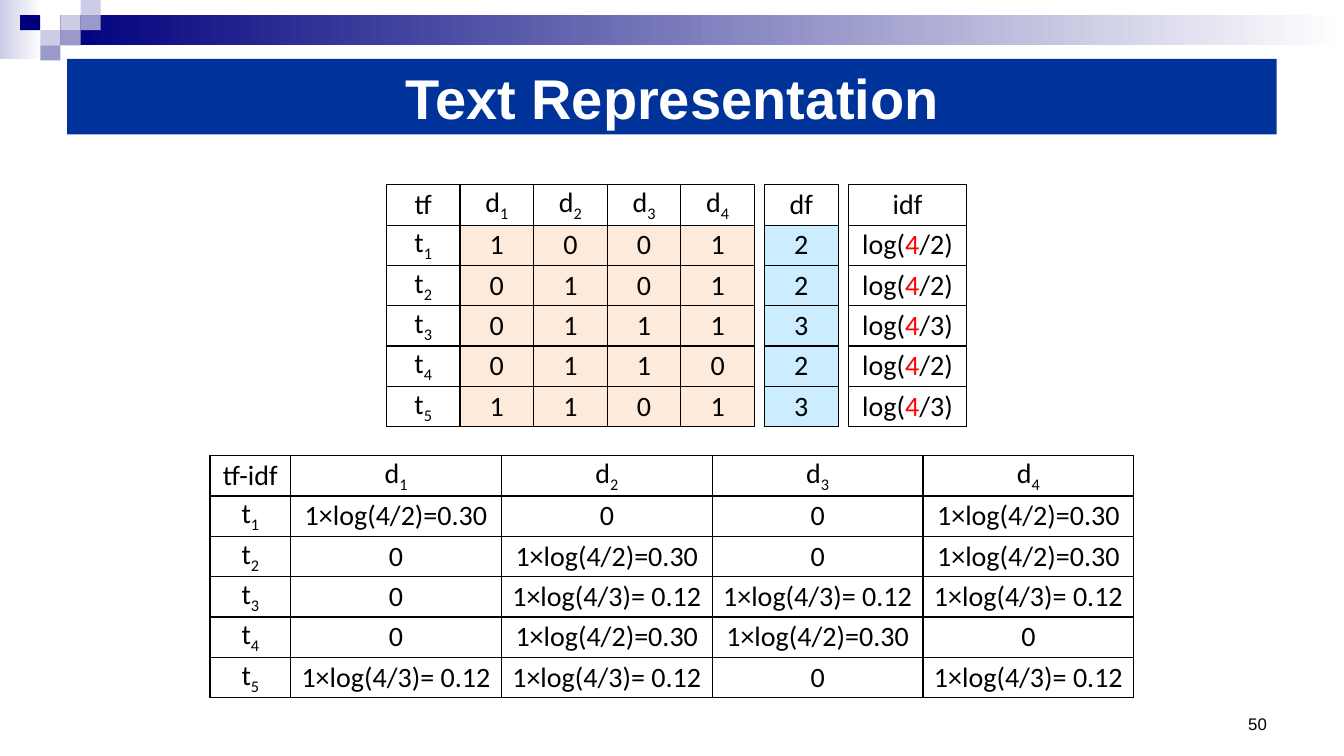
"""Build the text representation slide with its tf, df, idf and tf-idf tables."""
import pptx
import pptx.util
import pptx.dml.color
import pptx.enum.shapes
import pptx.enum.text
import pptx.oxml

Pt = pptx.util.Pt
RGB = pptx.dml.color.RGBColor.from_string
ALIGN = pptx.enum.text.PP_ALIGN
ANCHOR = pptx.enum.text.MSO_ANCHOR
RECT = pptx.enum.shapes.MSO_SHAPE.RECTANGLE
HUES = {
    "white": "FFFFFF", "black": "000000", "red": "FF0000", "title": "003399",
    "navy": "00007D", "mid": "9999CC", "pale": "CCCCE6",
    "peach": "FDEADA", "sky": "CCECFF",
}
ROW = 28.8
NS = "http://schemas.openxmlformats.org/drawingml/2006/main"


def add_block(group, box, *hues):
    """Add a borderless block with one flat hue or a two-hue gradient."""
    block = group.shapes.add_shape(RECT, *map(Pt, box))
    block.shadow.inherit = False
    block.line.fill.background()
    if len(hues) == 1:
        block.fill.solid()
        block.fill.fore_color.rgb = RGB(HUES[hues[0]])
        return
    block.fill.gradient()
    block.fill.gradient_angle = 0
    for stop, hue in zip(block.fill.gradient_stops, hues):
        stop.color.rgb = RGB(HUES[hue])


def add_grid(left, top, widths, rows, hue, first):
    """Add a table; "|" parts runs, "_" lowers a run, "^" reddens it."""
    frame = slide.shapes.add_table(len(rows), len(widths), Pt(left), Pt(top),
                                   Pt(sum(widths)), Pt(ROW * len(rows)))
    grid = frame.table
    for col, width in zip(grid.columns, widths):
        col.width = Pt(width)
    for r, row in enumerate(rows):
        grid.rows[r].height = Pt(ROW)
        for c, text in enumerate(row):
            cell = grid.cell(r, c)
            cell.margin_left = cell.margin_right = 0
            cell.margin_top = cell.margin_bottom = 0
            cell.vertical_anchor = ANCHOR.MIDDLE
            props = cell._tc.get_or_add_tcPr()
            for side in "LRTB":
                props.append(pptx.oxml.parse_xml(
                    f'<a:ln{side} xmlns:a="{NS}" w="12700"><a:solidFill>'
                    f'<a:srgbClr val="{HUES["black"]}"/></a:solidFill></a:ln{side}>'))
            cell.fill.solid()
            body = r > 0 and c >= first
            cell.fill.fore_color.rgb = RGB(HUES[hue if body else "white"])
            para = cell.text_frame.paragraphs[0]
            para.alignment = ALIGN.CENTER
            for part in text.split("|"):
                run = para.add_run()
                run.text = part.lstrip("_^")
                run.font.size = Pt(20)
                run.font.name = "Calibri"
                run.font.bold = False
                run.font.color.rgb = RGB(HUES["red" if part[0] == "^" else "black"])
                if part[0] == "_":
                    run.font._element.set("baseline", "-25000")


deck = pptx.Presentation()
deck.slide_width, deck.slide_height = Pt(960), Pt(540)
slide = deck.slides.add_slide(deck.slide_layouts[5])

band = slide.shapes.add_group_shape()
add_block(band, (0, 0, 30, 42), "pale", "white")
add_block(band, (43.2, 10.8, 916.8, 21.6), "navy", "white")
tiles = [(3, 1, "pale"), (4, 0, "pale"), (4, 1, "mid"), (2, 2, "pale"),
         (1, 1, "navy"), (3, 2, "mid"), (2, 3, "mid")]
for x, y, hue in tiles:
    add_block(band, (x * 14.4, y * 10.8, 14.4, 10.8), hue)

title = slide.shapes.title
title.left, title.top, title.width, title.height = map(Pt, (48, 42, 864, 54))
title.fill.solid()
title.fill.fore_color.rgb = RGB(HUES["title"])
title.text_frame.text = "Text Representation"
title.text_frame.auto_size = pptx.enum.text.MSO_AUTO_SIZE.NONE
title.text_frame.vertical_anchor = ANCHOR.MIDDLE
para = title.text_frame.paragraphs[0]
para.alignment = ALIGN.CENTER
font = para.runs[0].font
font.size, font.name, font.bold = Pt(40), "Arial", True
font.color.rgb = RGB(HUES["white"])

counts = ["1001", "0101", "0111", "0110", "1101"]
score = {2: "1×log(4/2)=0.30", 3: "1×log(4/3)= 0.12"}
docs = [f"d|_{n}" for n in range(1, 5)]
tf, tfidf, df, idf = [["tf"] + docs], [["tf-idf"] + docs], [["df"]], [["idf"]]
for n, marks in enumerate(counts, 1):
    hits = marks.count("1")
    tf.append([f"t|_{n}", *marks])
    tfidf.append([f"t|_{n}"] + [score[hits] if m == "1" else "0" for m in marks])
    df.append([str(hits)])
    idf.append([f"log(|^4|/{hits})"])

add_grid(276, 132, [52.6] * 5, tf, "peach", 1)
add_grid(150, 325.5, [57.6] + [150.6] * 4, tfidf, "white", 1)
add_grid(545.8, 132, [53], df, "sky", 0)
add_grid(606.2, 132, [84.2], idf, "white", 0)

page = slide.shapes.add_textbox(Pt(800), Pt(492), Pt(112), Pt(36)).text_frame
page.text = "50"
page.word_wrap = True
page.vertical_anchor = ANCHOR.BOTTOM
para = page.paragraphs[0]
para.alignment = ALIGN.RIGHT
font = para.runs[0].font
font.size, font.name = Pt(12), "Arial"
font.color.rgb = RGB(HUES["black"])

deck.save("out.pptx")
